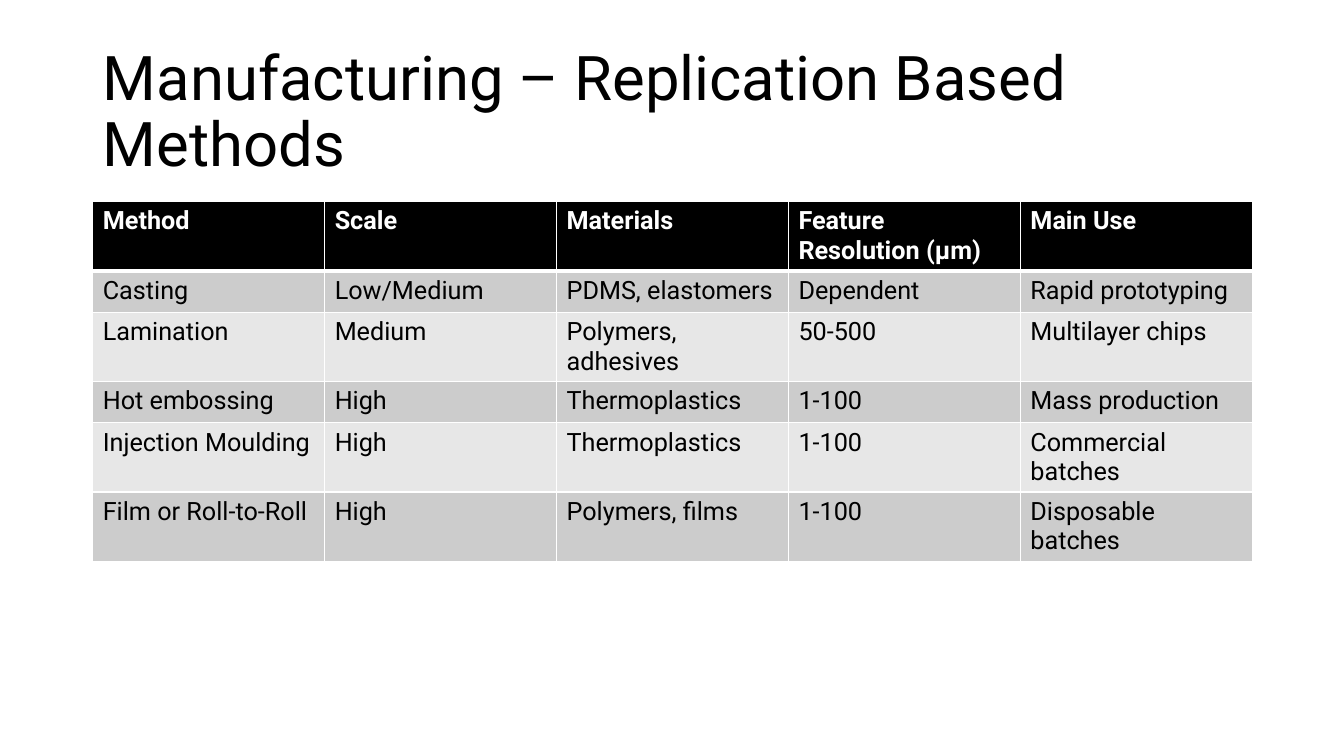
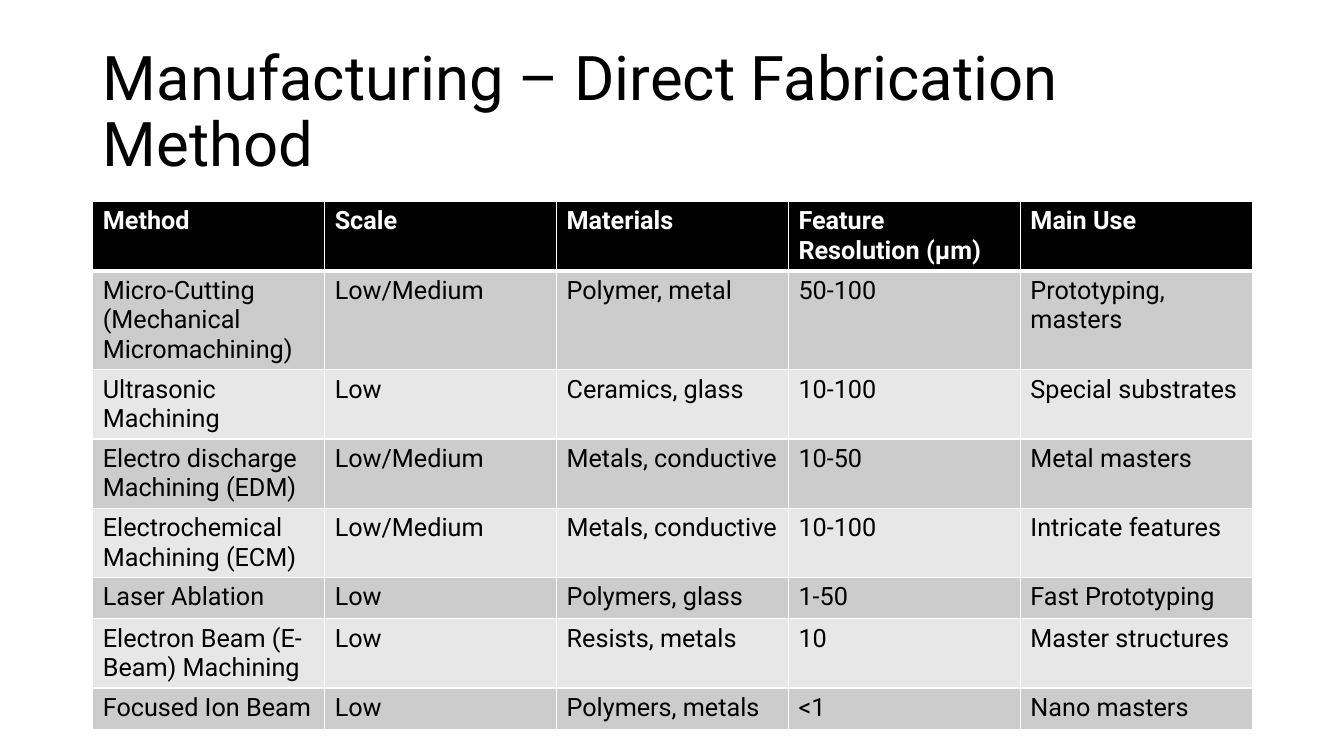
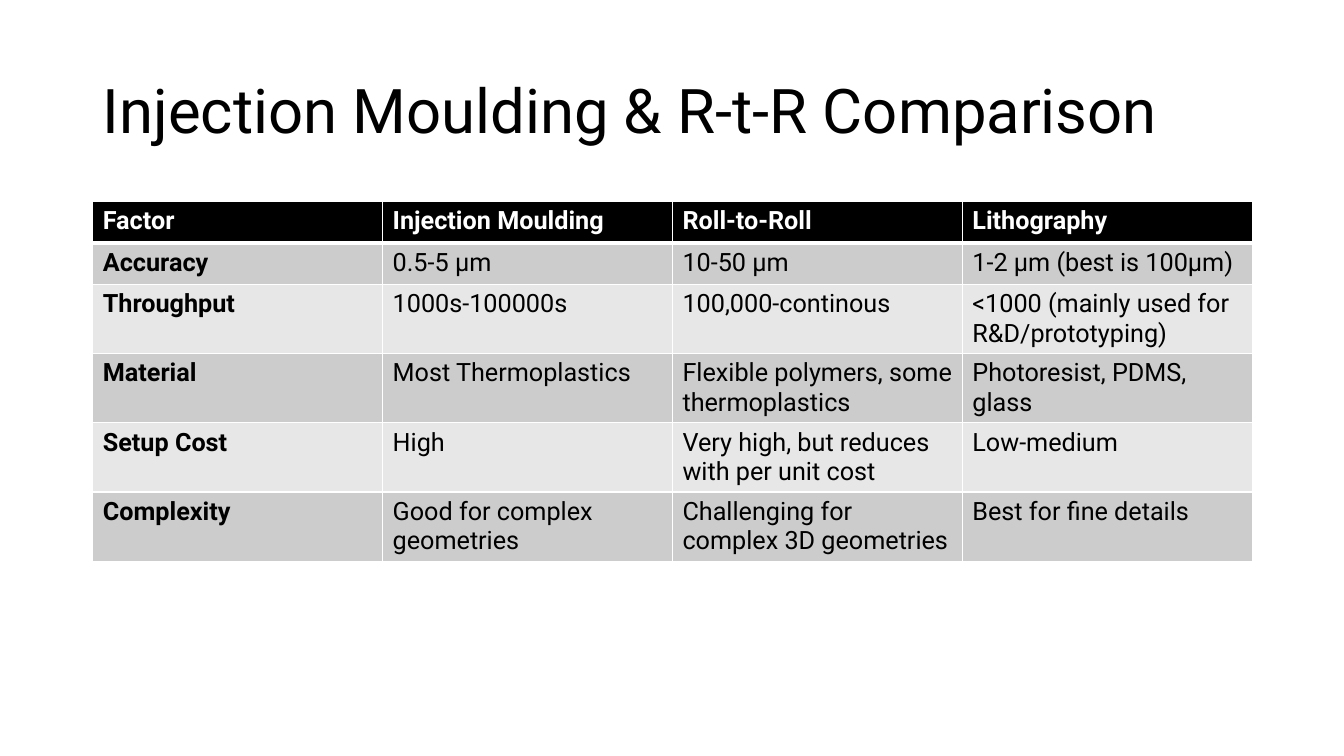
from dataclasses import dataclass

from lxml.etree import SubElement as Sub
from pptx import Presentation
from pptx.dml.color import RGBColor as RGB
from pptx.enum.text import MSO_ANCHOR as Anchor, MSO_AUTO_SIZE as Fit, PP_ALIGN as Align
from pptx.oxml.ns import qn
from pptx.util import Inches, Pt


@dataclass(frozen=True)
class Theme:
    font: str = "Roboto"
    black: str = "000000"
    white: str = "FFFFFF"
    bands: tuple = ("CCCCCC", "E7E7E7")
    title: int = 44
    body: int = 18
    thin: int = 1
    thick: int = 3


theme = Theme()
left, width = Inches(0.92), Inches(11.5)
row_high = Inches(0.41)


def style(font, size, color, bold=False):
    look = {"name": theme.font, "size": Pt(size), "bold": bold}
    for key, value in look.items():
        setattr(font, key, value)
    font.color.rgb = RGB.from_string(color)


def edge(cell, sides):
    """Draw white borders; sides maps L, R, T, B (in that order) to points."""
    props = cell._tc.get_or_add_tcPr()
    for side, points in sides.items():
        line = Sub(props, qn(f"a:ln{side}"), w=str(Pt(points)))
        Sub(Sub(line, qn("a:solidFill")), qn("a:srgbClr"), val=theme.white)


heads = ["Method", "Scale", "Materials", "Feature Resolution (µm)", "Main Use"]

# Each slide: title, whether the first column is bold, table rows
slides = [
    ("Manufacturing – Replication Based Methods", False, [
        heads,
        ["Casting", "Low/Medium", "PDMS, elastomers", "Dependent", "Rapid prototyping"],
        ["Lamination", "Medium", "Polymers, adhesives", "50-500", "Multilayer chips"],
        ["Hot embossing", "High", "Thermoplastics", "1-100", "Mass production"],
        ["Injection Moulding", "High", "Thermoplastics", "1-100", "Commercial batches"],
        ["Film or Roll-to-Roll", "High", "Polymers, films", "1-100", "Disposable batches"],
    ]),
    ("Manufacturing – Direct Fabrication Method", False, [
        heads,
        ["Micro-Cutting (Mechanical Micromachining)", "Low/Medium", "Polymer, metal",
         "50-100", "Prototyping, masters"],
        ["Ultrasonic Machining", "Low", "Ceramics, glass", "10-100", "Special substrates"],
        ["Electro discharge Machining (EDM)", "Low/Medium", "Metals, conductive",
         "10-50", "Metal masters"],
        ["Electrochemical Machining (ECM)", "Low/Medium", "Metals, conductive",
         "10-100", "Intricate features"],
        ["Laser Ablation", "Low", "Polymers, glass", "1-50", "Fast Prototyping"],
        ["Electron Beam (E-Beam) Machining", "Low", "Resists, metals", "10",
         "Master structures"],
        ["Focused Ion Beam", "Low", "Polymers, metals", "<1", "Nano masters"],
    ]),
    ("Injection Moulding & R-t-R Comparison", True, [
        ["Factor", "Injection Moulding", "Roll-to-Roll", "Lithography"],
        ["Accuracy", "0.5-5 µm", "10-50 µm", "1-2 µm (best is 100µm)"],
        ["Throughput", "1000s-100000s", "100,000-continous",
         "<1000 (mainly used for R&D/prototyping)"],
        ["Material", "Most Thermoplastics", "Flexible polymers, some thermoplastics",
         "Photoresist, PDMS, glass"],
        ["Setup Cost", "High", "Very high, but reduces with per unit cost", "Low-medium"],
        ["Complexity", "Good for complex geometries",
         "Challenging for complex 3D geometries", "Best for fine details"],
    ]),
]

deck = Presentation()
deck.slide_width, deck.slide_height = Inches(13.33), Inches(7.5)
layout = deck.slide_layouts.get_by_name("Title Only")

for name, lead, rows in slides:
    slide = deck.slides.add_slide(layout)
    title = slide.shapes.title
    place = {"left": left, "top": Inches(0.4), "width": width, "height": Inches(1.45)}
    for key, value in place.items():
        setattr(title, key, value)
    frame = title.text_frame
    frame.text = name
    frame.auto_size, frame.vertical_anchor = Fit.NONE, Anchor.MIDDLE
    para = frame.paragraphs[0]
    para.alignment, para.line_spacing = Align.LEFT, 0.9
    style(para.runs[0].font, theme.title, theme.black)

    count = len(rows[0])
    table = slide.shapes.add_table(
        len(rows), count, left, Inches(2), width, row_high * len(rows)).table
    table.first_col = lead
    for col in table.columns:
        col.width = width // count
    for r, row in enumerate(rows):
        table.rows[r].height = row_high
        head = r == 0
        fill = theme.black if head else theme.bands[(r - 1) % 2]
        sides = {"L": theme.thin, "R": theme.thin,
                 "T": theme.thick if r == 1 else theme.thin,
                 "B": theme.thick if head else theme.thin}
        for c, text in enumerate(row):
            cell = table.cell(r, c)
            cell.text = text
            style(cell.text_frame.paragraphs[0].runs[0].font, theme.body,
                  theme.white if head else theme.black, head or (lead and c == 0))
            edge(cell, sides)
            cell.fill.solid()
            cell.fill.fore_color.rgb = RGB.from_string(fill)

deck.save("out.pptx")
